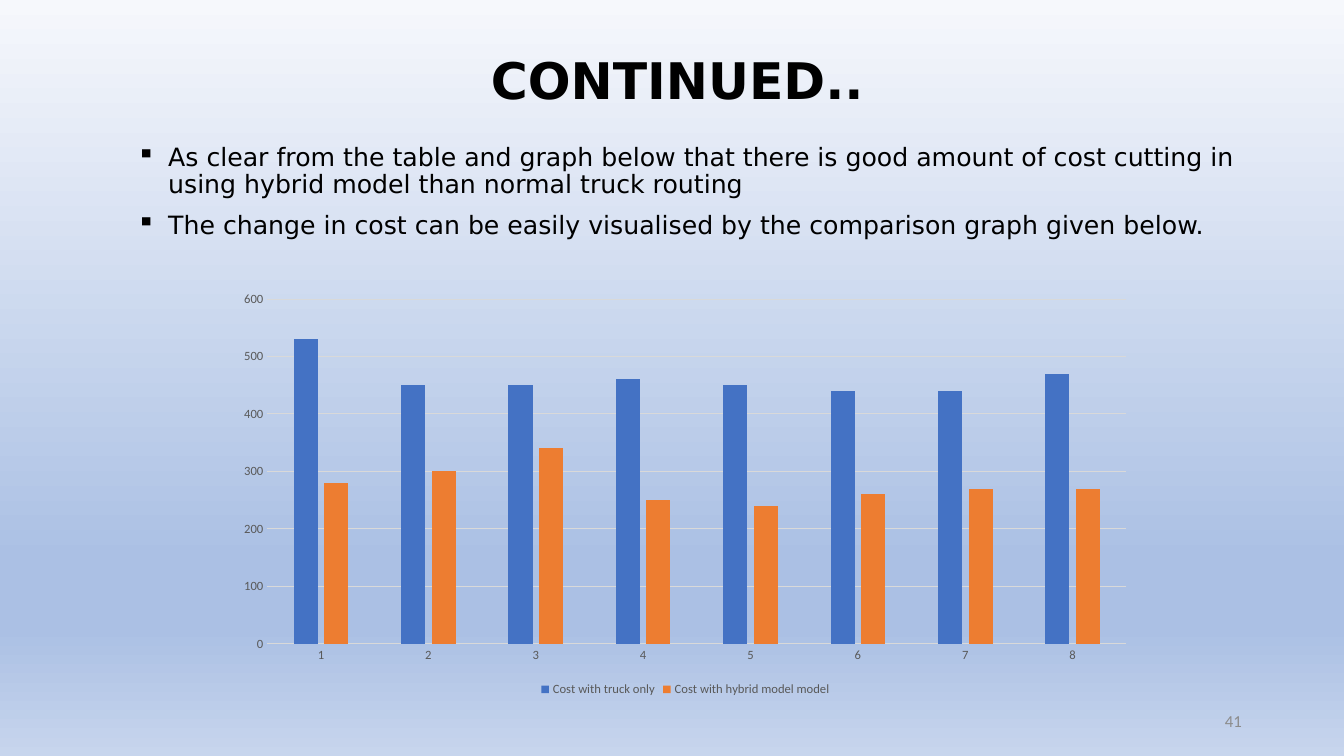
from lxml import etree
from pptx import Presentation
from pptx import util as u
from pptx.chart.data import CategoryChartData
from pptx.dml.color import RGBColor
from pptx.enum import chart as c, text as t
from pptx.oxml import parse_xml
from pptx.oxml.ns import qn

COLORS = {
    "text": "000000", "number": "8C8C8C", "label": "595959", "line": "D9D9D9",
    "truck": "4472C4", "hybrid": "ED7D31",
}
BACKGROUND_STOPS = [(0, "F6F8FC"), (74, "ABC0E4"), (83, "ABC0E4"), (100, "C7D5ED")]


def style_font(font, color, **values):
    for name, value in values.items():
        setattr(font, name, value)
    font.color.rgb = RGBColor.from_string(COLORS[color])


def add_text_box(left, top, width, height, **values):
    box = slide.shapes.add_textbox(u.Cm(left), u.Cm(top), u.Cm(width), u.Cm(height))
    box.text_frame.word_wrap = True
    for name, value in values.items():
        setattr(box.text_frame, name, value)
    return box.text_frame


presentation = Presentation()
presentation.slide_width, presentation.slide_height = u.Cm(33.87), u.Cm(19.05)
slide = presentation.slides.add_slide(presentation.slide_layouts[6])

# Background: vertical gradient with four stops
fill = slide.background.fill
fill.gradient()
stops = "".join(
    f'<a:gs pos="{position * 1000}"><a:srgbClr val="{color}"/></a:gs>'
    for position, color in BACKGROUND_STOPS
)
gradient = parse_xml(
    '<a:gradFill xmlns:a="http://schemas.openxmlformats.org/drawingml/2006/main" '
    f'rotWithShape="1"><a:gsLst>{stops}</a:gsLst><a:lin ang="5400000" scaled="0"/></a:gradFill>'
)
old_gradient = next(slide.background._cSld.iter(qn("a:gradFill")))
old_gradient.getparent().replace(old_gradient, gradient)

# Title
title = add_text_box(2.64, 0.89, 29.21, 2.21, vertical_anchor=t.MSO_ANCHOR.MIDDLE)
paragraph = title.paragraphs[0]
paragraph.alignment, paragraph.line_spacing = t.PP_ALIGN.CENTER, 0.9
for wording, size, name, bold in [
    ("CONTINUED..", 36, "DejaVu Sans", True),
    (" ", 44, "Calibri", False),
]:
    run = paragraph.add_run()
    run.text = wording
    style_font(run.font, "text", size=u.Pt(size), name=name, bold=bold)

# Slide number
number = add_text_box(23.93, 17.65, 7.62, 1.02, vertical_anchor=t.MSO_ANCHOR.MIDDLE)
paragraph = number.paragraphs[0]
paragraph.alignment = t.PP_ALIGN.RIGHT
run = paragraph.add_run()
run.text = "41"
style_font(run.font, "number", size=u.Pt(12), name="Calibri")

# Cost comparison chart
costs = CategoryChartData()
costs.categories = [str(case) for case in range(1, 9)]
costs.add_series("Cost with truck only", [530, 450, 450, 460, 450, 440, 440, 470])
costs.add_series("Cost with hybrid model model", [280, 300, 340, 250, 240, 260, 270, 270])
chart = slide.shapes.add_chart(
    c.XL_CHART_TYPE.COLUMN_CLUSTERED,
    u.Cm(5.69), u.Cm(7.14), u.Cm(23.16), u.Cm(10.52), costs,
).chart
chart.has_title = False
style_font(chart.font, "text", size=u.Pt(10), name="Calibri")

plot = chart.plots[0]
plot.gap_width, plot.overlap, plot.vary_by_categories = 219, -27, False
for series, color in zip(plot.series, ("truck", "hybrid")):
    series.format.fill.solid()
    series.format.fill.fore_color.rgb = RGBColor.from_string(COLORS[color])

# Chart axes and legend
value_axis, category_axis = chart.value_axis, chart.category_axis
value_axis.minimum_scale, value_axis.maximum_scale, value_axis.major_unit = 0, 600, 100
value_axis.has_major_gridlines = True
value_axis.format.line.fill.background()
for line in (category_axis.format.line, value_axis.major_gridlines.format.line):
    line.width = u.Pt(0.75)
    line.color.rgb = RGBColor.from_string(COLORS["line"])
for axis in (value_axis, category_axis):
    axis.major_tick_mark = axis.minor_tick_mark = c.XL_TICK_MARK.NONE
chart.has_legend = True
chart.legend.position = c.XL_LEGEND_POSITION.BOTTOM
chart.legend.include_in_layout = False
for font in (value_axis.tick_labels.font, category_axis.tick_labels.font, chart.legend.font):
    style_font(font, "label", size=u.Pt(9), name="Calibri")

# Bulleted findings
findings = add_text_box(3.2, 3.51, 29.13, 2.69, auto_size=t.MSO_AUTO_SIZE.SHAPE_TO_FIT_TEXT)
for index, wording in enumerate([
    "As clear from the table and graph below that there is good amount of cost cutting in "
    "using hybrid model than normal truck routing",
    "The change in cost can be easily visualised by the comparison graph given below.",
]):
    paragraph = findings.add_paragraph() if index else findings.paragraphs[0]
    paragraph.line_spacing = 0.9
    if index:
        paragraph.space_before = u.Pt(10)
    properties = paragraph._p.get_or_add_pPr()
    properties.set("marL", str(u.Cm(0.79)))
    properties.set("indent", str(-u.Cm(0.79)))
    etree.SubElement(properties, qn("a:buChar"), char="▪")
    run = paragraph.add_run()
    run.text = wording
    style_font(run.font, "text", size=u.Pt(18), name="DejaVu Sans")

presentation.save("out.pptx")
